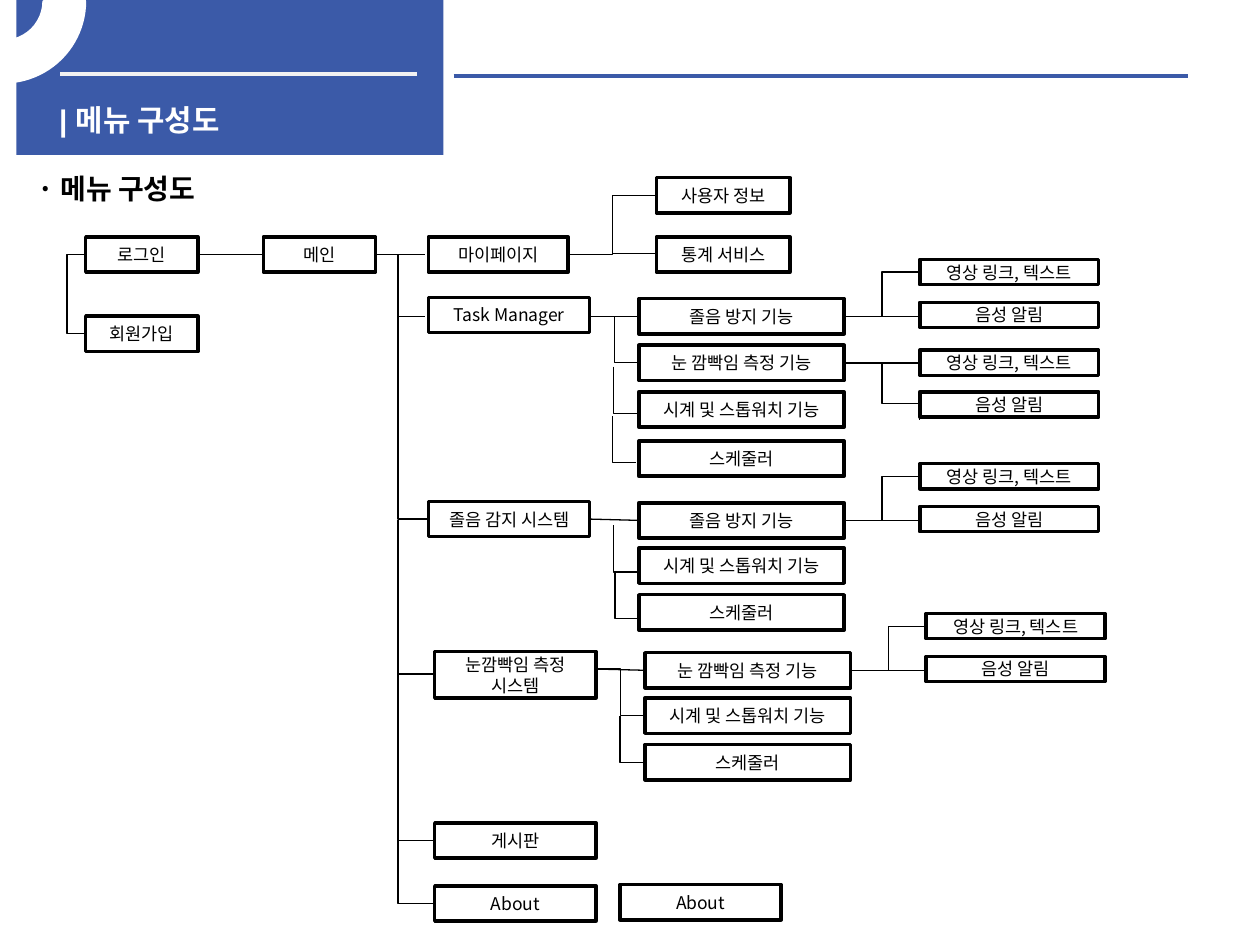
from lxml import etree
from pptx import Presentation
from pptx import util as u
from pptx.dml.color import RGBColor
from pptx.enum import shapes, text
from pptx.oxml import ns

BLUE = RGBColor(0x3B, 0x5A, 0xA8)
WHITE = RGBColor(0xFF, 0xFF, 0xFF)
PALE = RGBColor(0xF2, 0xF2, 0xF2)
BLACK = RGBColor(0, 0, 0)
KOREAN = "Noto Sans CJK KR"

LINK, VOICE = "영상 링크, 텍스트", "음성 알림"
SLEEP, BLINK = "졸음 방지 기능", "눈 깜빡임 측정 기능"
CLOCK, PLAN = "시계 및 스톱워치 기능", "스케줄러"

# Columns of the menu tree: left edge, width, height
LOGIN, MAIN, PAGE = (0.68, 0.89, 0.28), (2.09, 0.89, 0.28), (3.4, 1.11, 0.28)
INFO, TASK, MENU = (5.21, 1.06, 0.28), (3.4, 1.28, 0.28), (3.45, 1.28, 0.28)
WORK, LEAF = (5.07, 1.63, 0.28), (7.3, 1.42, 0.2)
SHIFT = 0.05  # the blink system sits slightly to the right
TRUNK = 3.16


class Chart:
    """Draws the parts of the menu tree on one slide."""

    def __init__(self, slide):
        self.slide = slide
        self.items = slide.shapes

    def add_words(self, para, words, size, color=BLACK, font=KOREAN, bold=False):
        run = para.add_run()
        run.text = words
        run.font.size = u.Pt(size)
        run.font.name = font
        run.font.bold = bold
        run.font.color.rgb = color
        east = etree.SubElement(run.font._element, ns.qn("a:ea"))
        east.set("typeface", KOREAN)

    def shape(self, kind, x, y, w, h, fill=None, line=None):
        item = self.items.add_shape(kind, *map(u.Inches, (x, y, w, h)))
        item.shadow.inherit = False
        if fill is None:
            item.fill.background()
        else:
            item.fill.solid()
            item.fill.fore_color.rgb = fill
        if line is None:
            item.line.fill.background()
        else:
            item.line.color.rgb = line
            item.line.width = u.Pt(2)
        return item

    def box(self, column, y, *lines, dx=0, high=None):
        x, w, h = column
        item = self.shape(shapes.MSO_SHAPE.RECTANGLE, x + dx, y, w, high or h,
                          line=BLACK)
        frame = item.text_frame
        frame.word_wrap = True
        frame.vertical_anchor = text.MSO_ANCHOR.MIDDLE
        for i, words in enumerate(lines):
            para = frame.add_paragraph() if i else frame.paragraphs[0]
            para.alignment = text.PP_ALIGN.CENTER
            self.add_words(para, words, 10)

    def line(self, x1, y1, x2, y2, color=BLACK, width=0.75, bend=None):
        """Straight line, or an elbow turning at the share `bend` of its width."""
        kinds = shapes.MSO_CONNECTOR
        kind = kinds.STRAIGHT if bend is None else kinds.ELBOW
        item = self.items.add_connector(kind, *map(u.Inches, (x1, y1, x2, y2)))
        item.line.color.rgb = color
        item.line.width = u.Pt(width)
        props = item._element.spPr
        etree.SubElement(props, ns.qn("a:effectLst"))
        if bend is not None:
            guides = props.find(ns.qn("a:prstGeom")).get_or_add_avLst()
            guide = etree.SubElement(guides, ns.qn("a:gd"))
            guide.set("name", "adj1")
            guide.set("fmla", f"val {round(bend * 100000)}")

    def place(self, item, x, y, w, h):
        item.left, item.top, item.width, item.height = map(u.Inches, (x, y, w, h))
        frame = item.text_frame
        frame.word_wrap = True
        frame.auto_size = text.MSO_AUTO_SIZE.NONE
        frame.vertical_anchor = text.MSO_ANCHOR.TOP
        para = frame.paragraphs[0]
        para.alignment = text.PP_ALIGN.LEFT
        return para

    def title(self, words):
        item = self.items.title
        self.items._spTree.append(item._element)  # bring above the blue panel
        para = self.place(item, 0.37, 0.76, 3.23, 0.3)
        self.add_words(para, words, 17, WHITE, "Arial", True)

    def label(self, words):
        item = self.items.add_textbox(0, 0, 0, 0)
        para = self.place(item, 0.2, 1.31, 3.39, 0.37)
        self.add_words(para, words, 16, bold=True)

    def fork(self, y, dx=0):
        """Two leaves fed by the work box whose middle is at y."""
        self.box(LEAF, y - 0.45, LINK, dx=dx)
        self.box(LEAF, y - 0.11, VOICE, dx=dx)
        self.line(6.7 + dx, y, 7.3 + dx, y - 0.35, bend=0.5)
        self.line(7 + dx, y, 7.3 + dx, y)


def header(chart):
    chart.shape(shapes.MSO_SHAPE.RECTANGLE, 0.13, 0, 3.39, 1.23, BLUE)
    chart.line(0.48, 0.59, 3.31, 0.59, PALE, 2.25)
    chart.line(3.6, 0.6, 9.43, 0.6, BLUE, 2.25)
    chart.title("| 메뉴 구성도")
    arc = chart.shape(shapes.MSO_SHAPE.BLOCK_ARC, -0.62, -0.63, 1.29, 1.28,
                      WHITE, WHITE)
    arc.adjustments[0] = 161.59 * 0.6  # degrees to guide units
    arc.adjustments[1] = 0
    arc.adjustments[2] = 0.25
    arc._element.spPr.find(ns.qn("a:xfrm")).set("flipV", "1")
    chart.label("· 메뉴 구성도")


def boxes(chart):
    for column, y, words in (
        (LOGIN, 1.88, "로그인"), (LOGIN, 2.51, "회원가입"),
        (MAIN, 1.88, "메인"), (PAGE, 1.88, "마이페이지"),
        (INFO, 1.41, "사용자 정보"), (INFO, 1.88, "통계 서비스"),
        (TASK, 2.36, "Task Manager"), (TASK, 3.98, "졸음 감지 시스템"),
        (MENU, 6.53, "게시판"), (MENU, 7.03, "About"),
        (WORK, 2.37, SLEEP), (WORK, 2.74, BLINK),
        (WORK, 3.11, CLOCK), (WORK, 3.5, PLAN),
        (WORK, 3.99, SLEEP), (WORK, 4.35, CLOCK), (WORK, 4.72, PLAN),
        (LEAF, 2.78, LINK), (LEAF, 3.11, VOICE),
    ):
        chart.box(column, y, words)
    chart.box(MENU, 5.17, "눈깜빡임 측정", "시스템", high=0.37)
    for y, words in ((5.18, BLINK), (5.54, CLOCK), (5.91, PLAN)):
        chart.box(WORK, y, words, dx=SHIFT)
    chart.box(MENU, 7.02, "About", dx=1.47)


def links(chart):
    for ends in (
        (1.57, 2.02, 2.09, 2.02), (2.99, 2.02, 3.37, 2.02),
        (4.86, 2.01, 5.21, 2.01), (4.68, 2.51, 5.07, 2.51),
        (4.68, 4.12, 5.07, 4.13), (4.73, 5.31, 5.12, 5.32),
        (6.7, 2.88, 7.3, 2.88), (7.3, 3.2, 7.3, 3.33),
        (TRUNK, 6.67, 3.45, 6.67),
    ):
        chart.line(*ends)
    chart.line(0.68, 2.02, 0.69, 2.65, bend=-15)
    for ends in ((4.51, 2.02, 5.21, 1.55), (4.68, 2.51, 5.07, 2.88),
                 (4.73, 5.31, 5.12, 5.68)):
        chart.line(*ends, bend=0.5)
    trunk = ((2.02, 3.37, 2.51), (2.51, 3.41, 4.12),
             (4.13, 3.45, 5.35), (5.35, 3.45, 7.17))
    for top, x, y in trunk:
        chart.line(TRUNK, top, x, y, bend=0)
    for x, y in ((4.87, 2.91), (4.86, 3.3), (4.87, 4.17), (4.88, 4.54),
                 (4.92, 5.68)):
        chart.line(x, y, x + 0.19, y + 0.37, bend=0)
    chart.line(7, 2.88, 7.3, 3.2, bend=0)


def main():
    deck = Presentation()
    deck.slide_width, deck.slide_height = u.Inches(10), u.Inches(7.5)
    chart = Chart(deck.slides.add_slide(deck.slide_layouts[5]))
    header(chart)
    boxes(chart)
    links(chart)
    for y, dx in ((2.51, 0), (4.13, 0), (5.32, SHIFT)):
        chart.fork(y, dx)
    deck.save("out.pptx")


if __name__ == "__main__":
    main()
